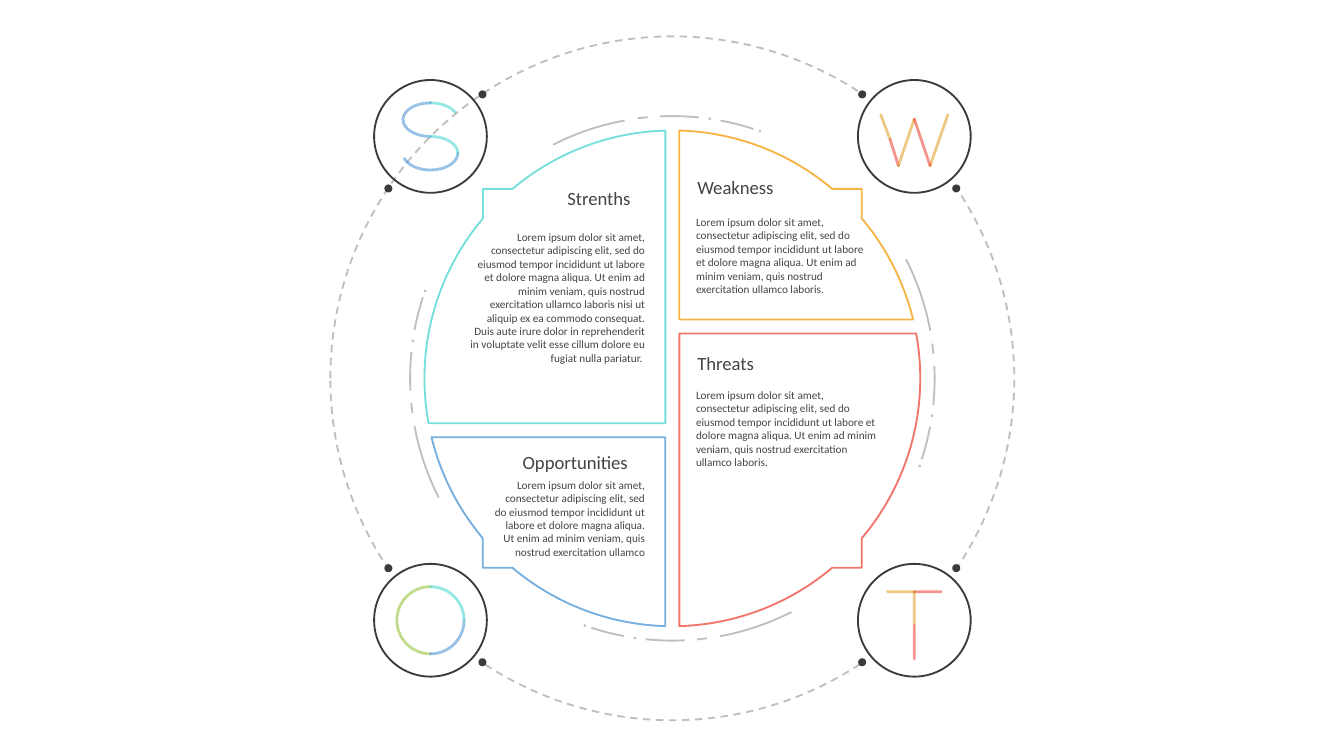
import copy
import math

import pptx
import pptx.dml.color
import pptx.enum.dml
import pptx.enum.shapes
import pptx.enum.text
import pptx.oxml
import pptx.oxml.ns
import pptx.util

Pt = pptx.util.Pt
RGB = pptx.dml.color.RGBColor
SHAPE = pptx.enum.shapes.MSO_SHAPE
ANCHOR = pptx.enum.text.MSO_ANCHOR
ALIGN = pptx.enum.text.PP_ALIGN

WHITE = RGB(0xFF, 0xFF, 0xFF)
GREY = RGB(0xBF, 0xBF, 0xBF)
DARK = RGB(0x3B, 0x3B, 0x3B)
TEXT = RGB(0x44, 0x44, 0x44)
TEAL = RGB(0x2F, 0xD0, 0xC9)
BLUE = RGB(0x33, 0x86, 0xCC)
GREEN = RGB(0x87, 0xB7, 0x1D)
ORANGE = RGB(0xDE, 0x93, 0x0D)
RED = RGB(0xEB, 0x2A, 0x1B)
PANEL_TEAL = RGB(0x75, 0xE0, 0xDB)
PANEL_YELLOW = RGB(0xF4, 0xB5, 0x45)
PANEL_BLUE = RGB(0x76, 0xAE, 0xDD)
PANEL_RED = RGB(0xF2, 0x75, 0x6B)

CX, CY = 360.2, 202.7
ORBIT, RING, PANEL = 183.2, 140.5, 132.8
BADGE, NOTCH, GAP, SPLIT = 129.6, 101.5, 3.75, 27.8
CORNERS = [(sx, sy) for sx in (-1, 1) for sy in (-1, 1)]

OPENING = (
    "Lorem ipsum dolor sit amet, consectetur adipiscing elit, sed do eiusmod "
    "tempor incididunt ut labore et dolore magna aliqua. Ut enim ad minim "
    "veniam, quis nostrud exercitation ullamco"
)
SHORT = OPENING + " laboris."
LONG = OPENING + (
    " laboris nisi ut aliquip ex ea commodo consequat. Duis aute irure dolor in "
    "reprehenderit in voluptate velit esse cillum dolore eu fugiat nulla pariatur. "
)

HEADINGS = [
    ("Strenths", 304, 100.1, 41),
    ("Weakness", 373.6, 94.3, 49),
    ("Opportunities", 280, 241.6, 65),
    ("Threats", 373.6, 188.4, 37.5),
]
BODIES = [
    (LONG, 243.2, 108.2, 109.4, 102.2, ANCHOR.MIDDLE, ALIGN.RIGHT),
    (SHORT, 365.8, 85.8, 109.4, 102.2, ANCHOR.MIDDLE, ALIGN.LEFT),
    (OPENING, 256.8, 252.5, 95.8, 102.2, ANCHOR.TOP, ALIGN.RIGHT),
    (SHORT, 365.8, 204.5, 110.9, 67.7, ANCHOR.TOP, ALIGN.LEFT),
]
PANELS = [
    (1, 1, -SPLIT + GAP, PANEL_RED),
    (-1, 1, SPLIT + GAP, PANEL_BLUE),
    (1, -1, SPLIT + GAP, PANEL_YELLOW),
    (-1, -1, -SPLIT + GAP, PANEL_TEAL),
]
RING_ARCS = [(10.6, 18), (-2.7, 5.8), (-7.6, -5.4), (-27, -10.5)]
RING_DOTS = [8.2, 19.5]
S_ARCS = [
    (-9, 270, 335, TEAL),
    (-9, 90, 270, BLUE),
    (9, 0, 162, BLUE),
    (9, 270, 360, TEAL),
]
O_ARCS = [(90, 270, GREEN), (0, 90, BLUE), (270, 360, TEAL)]
W_LINES = [
    (-13, 1.5, -8.5, 15.7, RED),
    (-18, -11.7, -13, 1.5, ORANGE),
    (0, -9.3, -8.5, 15.7, ORANGE),
    (18, -11.7, 8.5, 15.7, ORANGE),
    (0, -9.3, 8.5, 15.7, RED),
]
T_LINES = [
    (0, 2, 0, -15.3, ORANGE),
    (0, 20.7, 0, 2.7, RED),
    (0, -15.3, 14.4, -15.3, RED),
    (-14.4, -15.3, 0, -15.3, ORANGE),
]


def assign(obj, **values):
    for name, value in values.items():
        setattr(obj, name, value)


def stroke(s, color, width=1):
    s.line.color.rgb = color
    s.line.width = Pt(width)


def letter_stroke(s, color):
    stroke(s, color, 1.5)
    clr = s.element.xpath(".//a:ln//a:srgbClr")[0]
    clr.append(pptx.oxml.parse_xml(
        '<a:alpha xmlns:a="http://schemas.openxmlformats.org/drawingml/2006/main" val="50000"/>'))
    s.element.xpath(".//a:ln")[0].set("cap", "rnd")


def add_circle(shapes, x, y, radius, fill=None, line=None):
    s = shapes.add_shape(
        SHAPE.OVAL, Pt(x - radius), Pt(y - radius), Pt(2 * radius), Pt(2 * radius))
    s.shadow.inherit = False
    if fill is None:
        s.fill.background()
    else:
        s.fill.solid()
        s.fill.fore_color.rgb = fill
    if line is None:
        s.line.fill.background()
    else:
        stroke(s, line)
    return s


def arc(x, y, rx, ry, start, end):
    turns = [a for a in range(-90, 450, 90) if start < a < end]
    stops = [math.radians(a) for a in (start, *turns, end)]
    steps = [[(x + rx * math.cos(stops[0]), y + ry * math.sin(stops[0]))]]
    for a, b in zip(stops, stops[1:]):
        k = 4 / 3 * math.tan((b - a) / 4)
        steps.append([
            (x + rx * (math.cos(t) - m * math.sin(t)), y + ry * (math.sin(t) + m * math.cos(t)))
            for t, m in ((a, k), (b, -k), (b, 0))])
    return steps


def add_outline(shapes, steps, close=False):
    steps = [[(Pt(x), Pt(y)) for x, y in step] for step in steps]
    fb = shapes.build_freeform(*steps[0][0])
    fb.add_line_segments([step[-1] for step in steps[1:]], close=close)
    s = fb.convert_to_shape()
    for segment, step in zip(s.element.xpath(".//a:lnTo"), steps[1:]):
        for i, (x, y) in enumerate(step[:-1]):
            pt = copy.deepcopy(segment[-1])
            pt.set("x", str(x - s.left))
            pt.set("y", str(y - s.top))
            segment.insert(i, pt)
        if len(step) == 3:
            segment.tag = pptx.oxml.ns.qn("a:cubicBezTo")
    s.shadow.inherit = False
    s.fill.background()
    return s


def add_letter_line(shapes, x, y, x1, y1, x2, y2, color):
    s = shapes.add_connector(
        pptx.enum.shapes.MSO_CONNECTOR.STRAIGHT,
        Pt(x + x1), Pt(y + y1), Pt(x + x2), Pt(y + y2))
    letter_stroke(s, color)
    s.element.spPr.append(pptx.oxml.parse_xml(
        '<a:effectLst xmlns:a="http://schemas.openxmlformats.org/drawingml/2006/main"/>'))


def add_letters(shapes):
    left, right, top, bottom = CX - BADGE, CX + BADGE, CY - BADGE, CY + BADGE
    for line in T_LINES:
        add_letter_line(shapes, right, bottom, *line)
    for dy, start, end, color in S_ARCS:
        letter_stroke(add_outline(shapes, arc(left, top + dy, 14.7, 9, start, end)), color)
    for line in W_LINES:
        add_letter_line(shapes, right, top, *line)
    for start, end, color in O_ARCS:
        letter_stroke(add_outline(shapes, arc(left, bottom, 18, 18, start, end)), color)


def add_ring(shapes):
    for side in (270, 180, 90, 0):
        for start, end in RING_ARCS:
            stroke(add_outline(shapes, arc(CX, CY, RING, RING, side + start, side + end)), GREY)
        for angle in RING_DOTS:
            a = math.radians(side + angle)
            add_circle(shapes, CX + RING * math.cos(a), CY + RING * math.sin(a), 0.7, GREY)


def add_panel(shapes, sx, sy, edge, color):
    edge_angle = math.degrees(math.asin(edge / PANEL))
    notch_angle = math.degrees(math.acos(NOTCH / PANEL))
    end_angle = math.degrees(math.acos(GAP / PANEL))
    steps = [
        [(GAP, edge)],
        *arc(0, 0, PANEL, PANEL, edge_angle, notch_angle),
        [(NOTCH, NOTCH)],
        *arc(0, 0, PANEL, PANEL, 90 - notch_angle, end_angle),
    ]
    steps = [[(CX + sx * x, CY + sy * y) for x, y in step] for step in steps]
    stroke(add_outline(shapes, steps, close=True), color)


def write(tf, text, size, align=ALIGN.LEFT, **frame):
    assign(tf, **frame)
    p = tf.paragraphs[0]
    p.alignment = align
    r = p.add_run()
    r.text = text
    assign(r.font, name="Calibri", size=Pt(size))
    r.font.color.rgb = TEXT


def add_heading(shapes, text, x, y, w):
    s = shapes.add_textbox(Pt(x), Pt(y), Pt(w), Pt(12.2))
    write(s.text_frame, text, 10, word_wrap=False,
          auto_size=pptx.enum.text.MSO_AUTO_SIZE.SHAPE_TO_FIT_TEXT,
          margin_left=0, margin_right=0, margin_top=0, margin_bottom=0)


def add_body(shapes, text, x, y, w, h, anchor, align):
    corners = [[(x, y)], [(x + w, y)], [(x + w, y + h)], [(x, y + h)]]
    s = add_outline(shapes, corners, close=True)
    s.line.fill.background()
    write(s.text_frame, text, 6, align, word_wrap=True, vertical_anchor=anchor)


def main():
    prs = pptx.Presentation()
    assign(prs, slide_width=Pt(720), slide_height=Pt(405))
    shapes = prs.slides.add_slide(prs.slide_layouts[6]).shapes

    orbit = add_circle(shapes, CX, CY, ORBIT, line=GREY)
    orbit.line.dash_style = pptx.enum.dml.MSO_LINE.DASH
    for sx, sy in CORNERS[1:]:
        add_circle(shapes, CX + sx * BADGE, CY + sy * BADGE, 36.4, WHITE)
    for heading in HEADINGS:
        add_heading(shapes, *heading)
    add_letters(shapes)
    for sx, sy in CORNERS:
        add_circle(shapes, CX + sx * BADGE, CY + sy * BADGE, 30.2, line=DARK)
        for dx, dy in ((101.7, 152.1), (152.1, 101.7)):
            add_circle(shapes, CX + sx * dx, CY + sy * dy, 2.15, DARK)
    add_ring(shapes)
    for panel in PANELS:
        add_panel(shapes, *panel)
    for body in BODIES:
        add_body(shapes, *body)
    prs.save("out.pptx")


if __name__ == "__main__":
    main()
